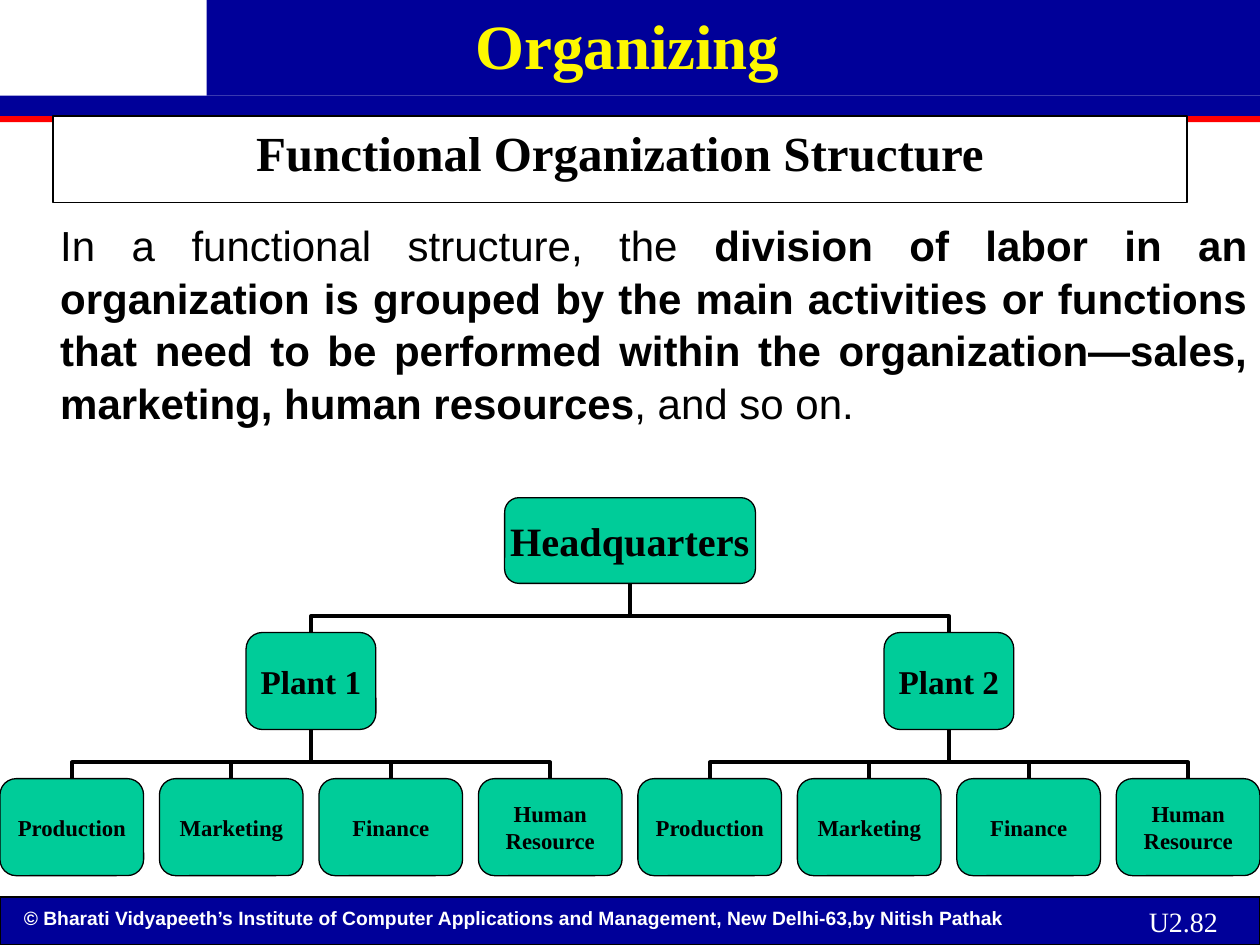
"""Build the functional organization structure slide."""
import pptx
import pptx.dml.color
import pptx.enum.shapes
import pptx.enum.text
import pptx.oxml.ns
import pptx.util
from lxml import etree

Inches, Pt = pptx.util.Inches, pptx.util.Pt
RGBColor = pptx.dml.color.RGBColor
SHAPE, CONNECTOR = pptx.enum.shapes.MSO_SHAPE, pptx.enum.shapes.MSO_CONNECTOR
ALIGN, ANCHOR = pptx.enum.text.PP_ALIGN, pptx.enum.text.MSO_ANCHOR
qn = pptx.oxml.ns.qn

NAVY = RGBColor(0x00, 0x00, 0x99)
RED = RGBColor(0xFF, 0x00, 0x00)
GREEN = RGBColor(0x00, 0xCC, 0x99)
YELLOW = RGBColor(0xFE, 0xF8, 0x00)
WHITE = RGBColor(0xFF, 0xFF, 0xFF)
BLACK = RGBColor(0x00, 0x00, 0x00)
SERIF, SANS = "Times New Roman", "Arial"

HEADING = "Functional Organization Structure"
BODY = [
    ("In a functional structure, the ", False),
    ("division of labor in an organization is grouped by the main activities or functions "
     "that need to be performed within the organization—sales, marketing, human resources", True),
    (", and so on.", False),
]
BANDS = [
    ((0, 7.12, 10, 0.38), NAVY, True),
    ((0, 0.92, 10, 0.05), RED, False),
    ((1.64, 0, 8.36, 0.76), NAVY, False),
    ((0, 0.76, 10, 0.16), NAVY, False),
]
LABELS = [
    ("© Bharati Vidyapeeth’s Institute of Computer Applications and Management, "
     "New Delhi-63,by Nitish Pathak", (0.09, 7.14, 9.18, 0.29), 11, SANS, WHITE, True, ALIGN.LEFT),
    ("U2.82", (9.02, 7.13, 0.94, 0.37), 16, SERIF, WHITE, False, ALIGN.LEFT),
    ("Organizing", (2.71, 0, 4.54, 0.7), 36, SERIF, YELLOW, True, ALIGN.CENTER),
]
ROOT = "Headquarters"
PLANTS = ["Plant 1", "Plant 2"]
DEPARTMENTS = ["Production", "Marketing", "Finance", "Human\nResource"]

SLIDE_WIDTH = 10
ROOT_LEVEL = {"top": 3.95, "width": 1.99, "height": 0.68, "size": 23}
PLANT_LEVEL = {"top": 5.02, "width": 1.03, "height": 0.77, "size": 19}
DEPARTMENT_LEVEL = {"top": 6.18, "width": 1.14, "height": 0.77, "size": 13}


def place(shape, area):
    shape.left, shape.top, shape.width, shape.height = map(Inches, area)


def style_text(frame, size, font, color, bold, align):
    for para in frame.paragraphs:
        para.alignment = align
        para.font.size, para.font.name, para.font.bold = Pt(size), font, bold
        para.font.color.rgb = color


def paint(shape, fill, outlined):
    shape.fill.solid()
    shape.fill.fore_color.rgb = fill
    if outlined:
        shape.line.color.rgb = BLACK
        shape.line.width = Pt(0.75)
    else:
        shape.line.fill.background()


def add_box(page, kind, area, fill, outlined):
    box = page.shapes.add_shape(kind, *map(Inches, area))
    box.shadow.inherit = False
    paint(box, fill, outlined)
    return box


def add_label(page, text, area, *style):
    box = page.shapes.add_textbox(*map(Inches, area))
    box.text_frame.word_wrap = True
    box.text_frame.text = text
    style_text(box.text_frame, *style)


def add_heading(page):
    title = page.shapes.title
    title.element.getparent().append(title.element)
    place(title, (0.42, 0.92, 9, 0.69))
    paint(title, WHITE, True)
    frame = title.text_frame
    frame.text = HEADING
    frame.auto_size = pptx.enum.text.MSO_AUTO_SIZE.NONE
    frame.vertical_anchor = ANCHOR.TOP
    style_text(frame, 28, SERIF, BLACK, True, ALIGN.CENTER)


def add_body(page):
    box = page.shapes.add_textbox(*map(Inches, (0, 1.68, 10, 1.79)))
    box.text_frame.word_wrap = True
    para = box.text_frame.paragraphs[0]
    para.line_spacing = 1.04
    para._p.get_or_add_pPr().set("marL", str(Inches(0.38)))
    for text, bold in BODY:
        span = para.add_run()
        span.text = text
        span.font.bold = bold
    style_text(box.text_frame, 24, SANS, BLACK, None, ALIGN.JUSTIFY)


def add_node(page, text, center, level):
    area = (center - level["width"] / 2, level["top"], level["width"], level["height"])
    frame = add_box(page, SHAPE.ROUNDED_RECTANGLE, area, GREEN, True).text_frame
    frame.margin_left = frame.margin_right = frame.margin_top = frame.margin_bottom = Inches(0.01)
    frame.word_wrap = False
    frame.vertical_anchor = ANCHOR.MIDDLE
    frame.text = text
    style_text(frame, level["size"], SERIF, BLACK, True, ALIGN.CENTER)


def add_link(page, child, child_level, parent, parent_level):
    """Draw an elbow that rises from a child, runs across and meets its parent."""
    parent_bottom = parent_level["top"] + parent_level["height"]
    rise, run = child_level["top"] - parent_bottom, abs(child - parent)
    middle_x, middle_y = (child + parent) / 2, parent_bottom + rise / 2
    to_right = child > parent
    half = rise / 2 if to_right else -rise / 2
    link = page.shapes.add_connector(
        CONNECTOR.ELBOW, Inches(middle_x - half), Inches(middle_y + run / 2),
        Inches(middle_x + half), Inches(middle_y - run / 2))
    link.line.color.rgb = BLACK
    link.line.width = Pt(2.25)
    properties = link.element.spPr
    properties.find(qn("a:xfrm")).set("rot", str((270 if to_right else 90) * 60000))
    guides = properties.find(qn("a:prstGeom")).find(qn("a:avLst"))
    etree.SubElement(guides, qn("a:gd"), name="adj1", fmla="val 33000")
    etree.SubElement(properties, qn("a:effectLst"))


def add_chart_of_units(page):
    count = len(DEPARTMENTS)
    width = DEPARTMENT_LEVEL["width"]
    step = (SLIDE_WIDTH - width) / (len(PLANTS) * count - 1)
    centers = [width / 2 + step * index for index in range(len(PLANTS) * count)]
    groups = [centers[start:start + count] for start in range(0, len(centers), count)]
    plants = [sum(group) / count for group in groups]
    root = SLIDE_WIDTH / 2
    for plant, group in zip(plants, groups):
        add_link(page, plant, PLANT_LEVEL, root, ROOT_LEVEL)
        for center in group:
            add_link(page, center, DEPARTMENT_LEVEL, plant, PLANT_LEVEL)
    add_node(page, ROOT, root, ROOT_LEVEL)
    for name, plant, group in zip(PLANTS, plants, groups):
        add_node(page, name, plant, PLANT_LEVEL)
        for department, center in zip(DEPARTMENTS, group):
            add_node(page, department, center, DEPARTMENT_LEVEL)


def main():
    deck = pptx.Presentation()
    deck.slide_width, deck.slide_height = Inches(SLIDE_WIDTH), Inches(7.5)
    page = deck.slides.add_slide(deck.slide_layouts[5])
    for area, fill, outlined in BANDS:
        add_box(page, SHAPE.RECTANGLE, area, fill, outlined)
    add_heading(page)
    add_body(page)
    add_chart_of_units(page)
    for label in LABELS:
        add_label(page, *label)
    deck.save("out.pptx")


if __name__ == "__main__":
    main()
